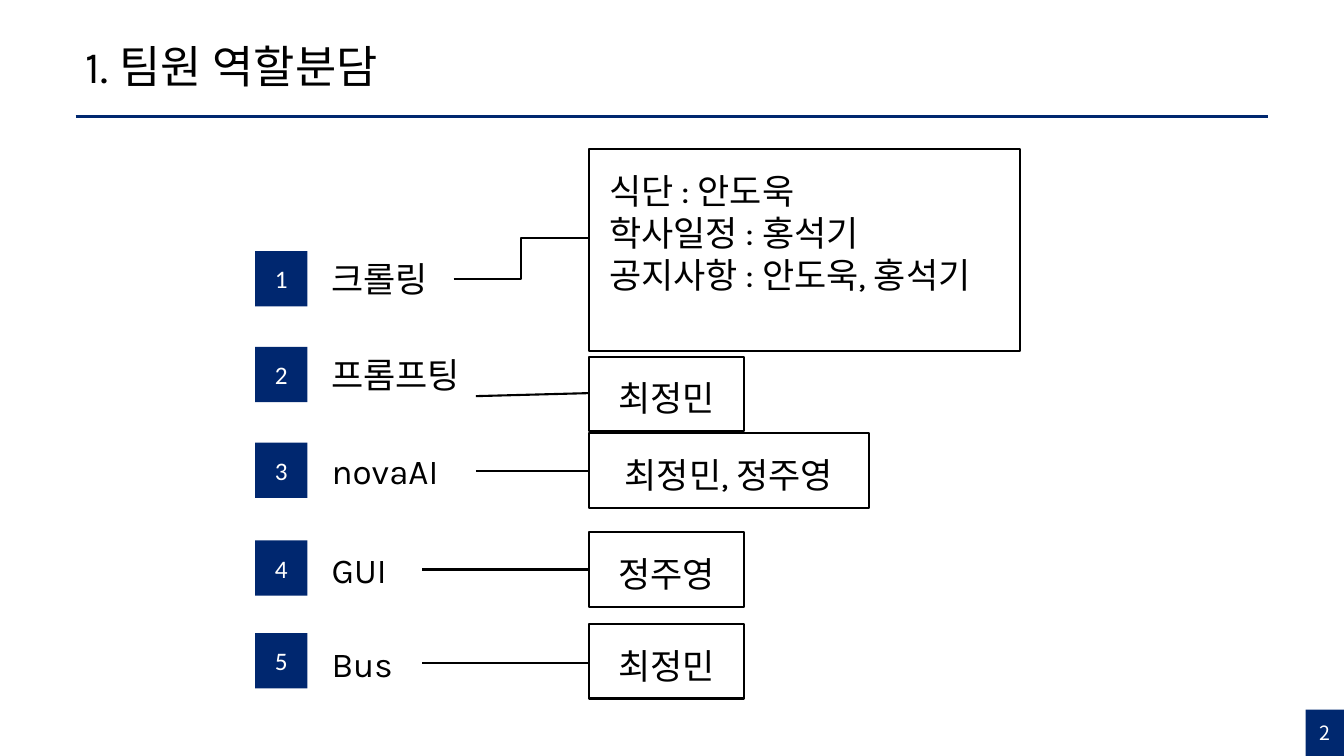
from dataclasses import dataclass

from lxml import etree
from pptx import Presentation
from pptx.dml.color import RGBColor
from pptx.enum.shapes import MSO_CONNECTOR, MSO_SHAPE
from pptx.enum.text import MSO_ANCHOR, MSO_AUTO_SIZE, PP_ALIGN
from pptx.oxml.ns import qn
from pptx.slide import Slide
from pptx.text.text import TextFrame
from pptx.util import Emu, Pt

RECTANGLE = MSO_SHAPE.RECTANGLE
STRAIGHT, ELBOW = MSO_CONNECTOR.STRAIGHT, MSO_CONNECTOR.ELBOW
TOP, MIDDLE = MSO_ANCHOR.TOP, MSO_ANCHOR.MIDDLE
LEFT, CENTER, JUSTIFY = PP_ALIGN.LEFT, PP_ALIGN.CENTER, PP_ALIGN.JUSTIFY
FIXED = MSO_AUTO_SIZE.NONE

TITLE_ONLY = 5
BADGE_LEFT, BADGE_WIDTH, BADGE_HEIGHT = 253, 52, 55
LABEL_LEFT = 319
MEMBERS_LEFT = 584


@dataclass(frozen=True)
class TextStyle:
    font: str
    size: int
    color: RGBColor


@dataclass(frozen=True)
class Theme:
    navy: RGBColor = RGBColor(0x00, 0x28, 0x6F)
    badge_navy: RGBColor = RGBColor(0x00, 0x27, 0x6F)
    black: RGBColor = RGBColor(0, 0, 0)
    white: RGBColor = RGBColor(255, 255, 255)
    rule_width: float = 2.25
    outline_width: float = 1.5

    @property
    def title(self) -> TextStyle:
        return TextStyle("Karla", 32, self.black)

    @property
    def body(self) -> TextStyle:
        return TextStyle("Karla", 25, self.black)

    @property
    def badge(self) -> TextStyle:
        return TextStyle("Calibri", 18, self.white)

    @property
    def page(self) -> TextStyle:
        return TextStyle("Noto Sans CJK KR", 14, self.white)


@dataclass(frozen=True)
class Box:
    left: int
    top: int
    width: int
    height: int

    def emu(self) -> tuple[Emu, Emu, Emu, Emu]:
        return px(self.left), px(self.top), px(self.width), px(self.height)


@dataclass(frozen=True)
class Task:
    label: str
    badge_top: int
    label_box: Box
    members: tuple[str, ...]
    members_box: Box
    link_left: int
    link_start: int
    link_end: int
    link_kind: MSO_CONNECTOR = STRAIGHT


THEME = Theme()
TASKS = (
    Task("크롤링", 249, Box(LABEL_LEFT, 251, 132, 52),
         ("식단 : 안도욱", "학사일정 : 홍석기", "공지사항 : 안도욱, 홍석기"),
         Box(MEMBERS_LEFT, 148, 428, 200), 450, 277, 236, ELBOW),
    Task("프롬프팅", 344, Box(LABEL_LEFT, 346, 154, 94), ("최정민",),
         Box(MEMBERS_LEFT, 354, 154, 74), 472, 393, 390),
    Task("novaAI", 439, Box(LABEL_LEFT, 441, 154, 52), ("최정민, 정주영",),
         Box(MEMBERS_LEFT, 430, 278, 74), 472, 467, 467),
    Task("GUI", 536, Box(LABEL_LEFT, 539, 100, 52), ("정주영",),
         Box(MEMBERS_LEFT, 528, 154, 74), 419, 565, 565),
    Task("Bus", 628, Box(LABEL_LEFT, 632, 100, 52), ("최정민",),
         Box(MEMBERS_LEFT, 619, 154, 74), 419, 658, 658),
)


def px(length: int) -> Emu:
    return Emu(length * 9144)


def write(frame: TextFrame, lines: tuple[str, ...], style: TextStyle,
          align: PP_ALIGN, anchor: MSO_ANCHOR = TOP) -> None:
    frame.text = "\n".join(lines)
    frame.word_wrap = True
    frame.auto_size = FIXED
    frame.vertical_anchor = anchor
    for paragraph in frame.paragraphs:
        paragraph.alignment = align
        font = paragraph.font
        font.name = style.font
        font.size = Pt(style.size)
        font.color.rgb = style.color
        defaults = paragraph._p.pPr.find(qn("a:defRPr"))
        etree.SubElement(defaults, qn("a:ea")).set("typeface", style.font)


def add_text(slide: Slide, box: Box, text: str, style: TextStyle, align: PP_ALIGN) -> None:
    write(slide.shapes.add_textbox(*box.emu()).text_frame, (text,), style, align)


def add_filled(slide: Slide, box: Box, color: RGBColor) -> TextFrame:
    block = slide.shapes.add_shape(RECTANGLE, *box.emu())
    block.shadow.inherit = False
    block.fill.solid()
    block.fill.fore_color.rgb = color
    block.line.fill.background()
    return block.text_frame


def add_members(slide: Slide, box: Box, members: tuple[str, ...]) -> None:
    card = slide.shapes.add_shape(RECTANGLE, *box.emu())
    card.shadow.inherit = False
    card.fill.background()
    card.line.color.rgb = THEME.black
    card.line.width = Pt(THEME.outline_width)
    frame = card.text_frame
    frame.margin_left = frame.margin_right = frame.margin_top = px(20)
    frame.margin_bottom = px(12)
    write(frame, members, THEME.body, JUSTIFY if len(members) > 1 else CENTER)


def add_link(slide: Slide, kind: MSO_CONNECTOR, start: tuple[int, int],
             end: tuple[int, int], color: RGBColor, width: float) -> None:
    link = slide.shapes.add_connector(kind, *map(px, start + end))
    link.line.color.rgb = color
    link.line.width = Pt(width)
    etree.SubElement(link._element.spPr, qn("a:effectLst"))


def add_task(slide: Slide, number: int, task: Task) -> None:
    badge = add_filled(slide, Box(BADGE_LEFT, task.badge_top, BADGE_WIDTH, BADGE_HEIGHT),
                       THEME.badge_navy)
    write(badge, (str(number),), THEME.badge, CENTER, MIDDLE)
    add_text(slide, task.label_box, task.label, THEME.body, JUSTIFY)
    add_members(slide, task.members_box, task.members)
    add_link(slide, task.link_kind, (task.link_left, task.link_start),
             (MEMBERS_LEFT, task.link_end), THEME.black, THEME.outline_width)


def add_heading(slide: Slide, text: str) -> None:
    title = slide.shapes.title
    title.left, title.top, title.width, title.height = Box(75, 30, 986, 76).emu()
    write(title.text_frame, (text,), THEME.title, LEFT, MIDDLE)
    title.text_frame.paragraphs[0].line_spacing = 0.9
    add_link(slide, STRAIGHT, (75, 116), (1258, 116), THEME.navy, THEME.rule_width)


def add_page_number(slide: Slide, number: int) -> None:
    add_filled(slide, Box(1295, 704, 39, 46), THEME.navy)
    add_text(slide, Box(1281, 710, 67, 34), str(number), THEME.page, CENTER)


def main() -> None:
    deck = Presentation()
    deck.slide_width, deck.slide_height = px(1333), px(750)
    slide = deck.slides.add_slide(deck.slide_layouts[TITLE_ONLY])
    add_heading(slide, "1. 팀원 역할분담")
    add_page_number(slide, 2)
    for number, task in enumerate(TASKS, start=1):
        add_task(slide, number, task)
    deck.save("out.pptx")


if __name__ == "__main__":
    main()
